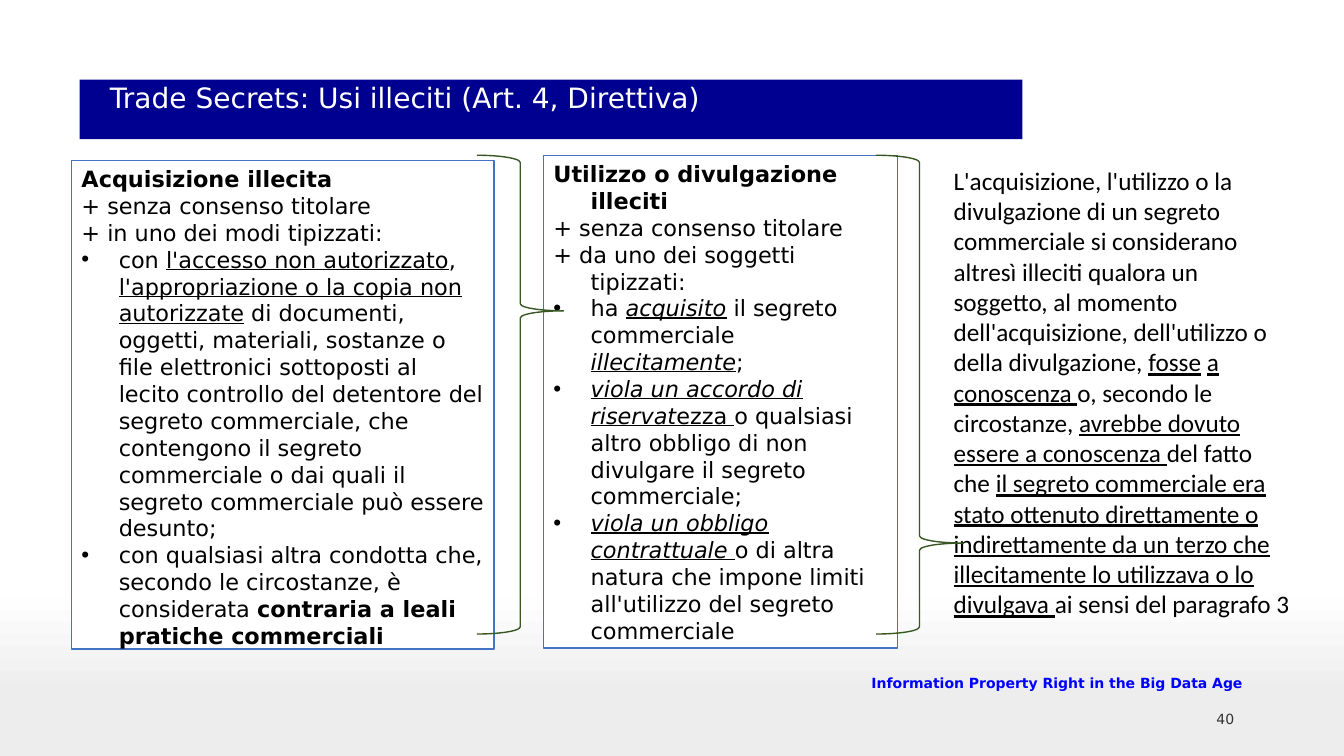
from copy import deepcopy

from lxml.etree import SubElement
from pptx import Presentation
from pptx.dml.color import RGBColor
from pptx.enum.shapes import MSO_SHAPE
from pptx.enum.text import MSO_ANCHOR, MSO_AUTO_SIZE, PP_ALIGN
from pptx.oxml.ns import qn
from pptx.util import Inches, Pt

BLACK = RGBColor(0x00, 0x00, 0x00)
WHITE = RGBColor(0xFF, 0xFF, 0xFF)
NAVY = RGBColor(0x00, 0x00, 0x90)
BLUE = RGBColor(0x00, 0x00, 0xFF)
BORDER_BLUE = RGBColor(0x44, 0x72, 0xC4)
BRACE_GREEN = RGBColor(0x38, 0x57, 0x23)
NUMBER_GRAY = RGBColor(0x33, 0x33, 0x33)
BACKGROUND_STOPS = [
    (0, WHITE),
    (0.79, RGBColor(0xFE, 0xFE, 0xFE)),
    (0.92, RGBColor(0xED, 0xED, 0xED)),
]
HANGING = 0.37

# Each paragraph is a list of (text, style); b, i and u are the style letters.
ACQUISITION_HEAD = [
    [("Acquisizione illecita", "b")],
    [("+ senza consenso titolare", "")],
    [("+ in uno dei modi tipizzati:", "")],
]
ACQUISITION_BULLETS = [
    [("con ", ""), ("l'accesso non autorizzato", "u"), (", ", ""),
     ("l'appropriazione o la copia non autorizzate", "u"),
     (" di documenti, oggetti, materiali, sostanze o file elettronici "
      "sottoposti al lecito controllo del detentore del segreto commerciale, "
      "che contengono il segreto commerciale o dai quali il segreto "
      "commerciale può essere desunto;", "")],
    [("con qualsiasi altra condotta che, secondo le circostanze, è "
      "considerata ", ""),
     ("contraria a leali pratiche commerciali", "b")],
]
USE_HEAD = [
    [("Utilizzo o divulgazione illeciti", "b")],
    [("+ senza consenso titolare", "")],
    [("+ da uno dei soggetti tipizzati:", "")],
]
USE_BULLETS = [
    [("ha ", ""), ("acquisito", "iu"), (" il segreto commerciale ", ""),
     ("illecitamente", "iu"), (";", "")],
    [("viola un accordo di riservat", "iu"), ("ezza ", "u"),
     ("o qualsiasi altro obbligo di non divulgare il segreto commerciale;", "")],
    [("viola un obbligo contrattuale ", "iu"),
     ("o di altra natura che impone limiti all'utilizzo del segreto "
      "commerciale", "")],
]
KNOWLEDGE = [
    ("L'acquisizione, l'utilizzo o la divulgazione di un segreto commerciale "
     "si considerano altresì illeciti qualora un soggetto, al momento "
     "dell'acquisizione, dell'utilizzo o della divulgazione, ", ""),
    ("fosse", "u"), (" ", ""), ("a conoscenza ", "u"),
    ("o, secondo le circostanze, ", ""),
    ("avrebbe dovuto essere a conoscenza ", "u"), ("del fatto che ", ""),
    ("il segreto commerciale era stato ottenuto direttamente o "
     "indirettamente da un terzo che illecitamente lo utilizzava o lo "
     "divulgava ", "u"),
    ("ai sensi del paragrafo 3", ""),
]


def paint_background(slide):
    fill = slide.background.fill
    fill.gradient()
    fill.gradient_angle = 270
    stops = next(slide.element.iter(qn("a:gsLst")))
    stops.append(deepcopy(stops[0]))
    for stop, (position, color) in zip(fill.gradient_stops, BACKGROUND_STOPS):
        stop.position = position
        stop.color.rgb = color


def write_spans(para, spans, size=16, color=BLACK, font="DejaVu Sans",
                align=PP_ALIGN.LEFT):
    para.alignment = align
    for text, style in spans:
        span = para.add_run()
        span.text = text
        span.font.name = font
        span.font.size = Pt(size)
        span.font.color.rgb = color
        span.font.bold = "b" in style
        span.font.italic = "i" in style
        span.font.underline = "u" in style


def indent(para, left, first=0.0, bullet=None):
    properties = para._p.get_or_add_pPr()
    properties.set("marL", str(Inches(left)))
    properties.set("indent", str(Inches(first)))
    if bullet:
        SubElement(properties, qn("a:buFont"), typeface="Arial")
        SubElement(properties, qn("a:buChar"), char=bullet)


def add_title(slide, text):
    title = slide.shapes.title
    title.left, title.top = Inches(0.79), Inches(0.79)
    title.width, title.height = Inches(9.35), Inches(0.59)
    title.fill.solid()
    title.fill.fore_color.rgb = NAVY
    frame = title.text_frame
    frame.auto_size = MSO_AUTO_SIZE.NONE
    frame.vertical_anchor = MSO_ANCHOR.TOP
    para = frame.paragraphs[0]
    indent(para, 0.2)
    para.line_spacing = 0.9
    write_spans(para, [(text, "")], size=20, color=WHITE)


def add_panel(slide, left, top, width, height, head, bullets):
    panel = slide.shapes.add_shape(
        MSO_SHAPE.RECTANGLE, Inches(left), Inches(top), Inches(width), Inches(height))
    panel.shadow.inherit = False
    panel.fill.solid()
    panel.fill.fore_color.rgb = WHITE
    panel.line.color.rgb = BORDER_BLUE
    panel.line.width = Pt(1)
    frame = panel.text_frame
    frame.word_wrap = True
    frame.vertical_anchor = MSO_ANCHOR.TOP
    for index, spans in enumerate(head + bullets):
        para = frame.add_paragraph() if index else frame.paragraphs[0]
        indent(para, HANGING, -HANGING, "•" if index >= len(head) else None)
        write_spans(para, spans)


def add_brace(slide, left, point):
    """Draw a right brace whose tip is at the fraction point of its height."""
    brace = slide.shapes.add_shape(
        MSO_SHAPE.RIGHT_BRACE, Inches(left), Inches(1.54), Inches(0.86), Inches(4.75))
    brace.shadow.inherit = False
    brace.adjustments[0] = 0.083
    brace.adjustments[1] = point
    brace.fill.background()
    brace.line.color.rgb = BRACE_GREEN
    brace.line.width = Pt(1)


def add_text(slide, left, top, width, height, spans, anchor=MSO_ANCHOR.TOP,
             auto_size=MSO_AUTO_SIZE.NONE, **text_format):
    box = slide.shapes.add_textbox(
        Inches(left), Inches(top), Inches(width), Inches(height))
    frame = box.text_frame
    frame.word_wrap = True
    frame.auto_size = auto_size
    frame.vertical_anchor = anchor
    write_spans(frame.paragraphs[0], spans, **text_format)


def main():
    deck = Presentation()
    deck.slide_width, deck.slide_height = Inches(13.33), Inches(7.5)
    slide = deck.slides.add_slide(deck.slide_layouts.get_by_name("Title Only"))
    paint_background(slide)
    add_title(slide, "Trade Secrets: Usi illeciti (Art. 4, Direttiva)")
    add_panel(slide, 0.71, 1.59, 4.19, 4.85, ACQUISITION_HEAD, ACQUISITION_BULLETS)
    add_panel(slide, 5.39, 1.54, 3.51, 4.89, USE_HEAD, USE_BULLETS)
    add_brace(slide, 4.73, 0.325)
    add_text(slide, 9.36, 1.59, 3.57, 4.64, KNOWLEDGE, size=18, font="Calibri",
             auto_size=MSO_AUTO_SIZE.SHAPE_TO_FIT_TEXT)
    add_brace(slide, 8.69, 0.81)
    add_text(slide, 7.9, 6.58, 4.52, 0.38,
             [("Information Property Right in the Big Data Age", "b")],
             anchor=MSO_ANCHOR.MIDDLE, size=10, color=BLUE, align=PP_ALIGN.RIGHT)
    add_text(slide, 9.56, 7, 2.78, 0.33, [("40", "")],
             size=10, color=NUMBER_GRAY, align=PP_ALIGN.RIGHT)
    deck.save("out.pptx")


if __name__ == "__main__":
    main()
